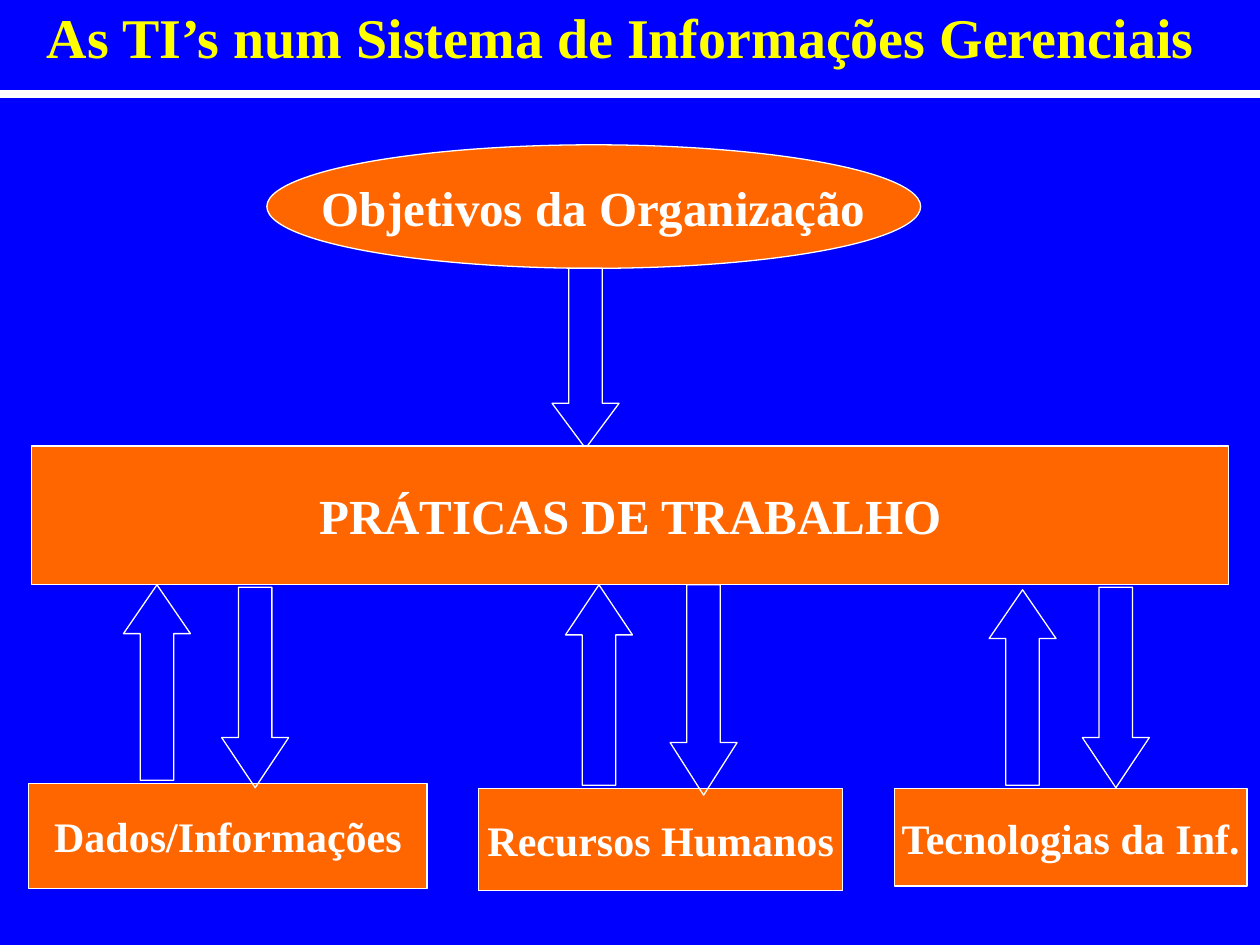
from lxml.etree import SubElement
from pptx import Presentation
from pptx.dml.color import RGBColor
from pptx.enum.shapes import MSO_CONNECTOR, MSO_SHAPE
from pptx.enum.text import MSO_ANCHOR, MSO_AUTO_SIZE, PP_ALIGN
from pptx.oxml.ns import qn
from pptx.util import Cm, Pt


def color(hex_string):
    return RGBColor.from_string(hex_string)


def add_text(shape, text, size, hex_string, alignment):
    frame = shape.text_frame
    frame.vertical_anchor = MSO_ANCHOR.MIDDLE
    paragraph = frame.paragraphs[0]
    paragraph.alignment = alignment
    run = paragraph.add_run()
    run.text = text
    run.font.name = "Times New Roman"
    run.font.size = Pt(size)
    run.font.bold = True
    run.font.color.rgb = color(hex_string)


presentation = Presentation()
presentation.slide_width = Cm(25.4)
presentation.slide_height = Cm(19.05)
slide = presentation.slides.add_slide(presentation.slide_layouts[5])
slide.background.fill.solid()
slide.background.fill.fore_color.rgb = color("0000FF")

title = slide.shapes.title
title.left, title.top, title.width, title.height = Cm(0.69), Cm(-0.08), Cm(23.88), Cm(1.63)
title.text_frame.auto_size = MSO_AUTO_SIZE.NONE
title.text_frame.word_wrap = True
add_text(title, "As TI’s num Sistema de Informações Gerenciais", 32, "FFFF00", PP_ALIGN.LEFT)

rule = slide.shapes.add_connector(MSO_CONNECTOR.STRAIGHT, Cm(0), Cm(1.9), Cm(25.4), Cm(1.9))
rule.line.color.rgb = color("FFFFFF")
rule.line.width = Pt(4.5)
SubElement(rule._element.spPr, qn("a:effectLst"))

OVAL, BOX = MSO_SHAPE.OVAL, MSO_SHAPE.RECTANGLE
UP, DOWN = MSO_SHAPE.UP_ARROW, MSO_SHAPE.DOWN_ARROW
arrow_width = 1.35

diagram = [
    (OVAL, 5.38, 2.92, 13.18, 2.49, "Objetivos da Organização", 28),
    (DOWN, 11.13, 5.41, arrow_width, 3.63, None, None),
    (BOX, 0.64, 8.99, 24.13, 2.79, "PRÁTICAS DE TRABALHO", 28),
    (BOX, 0.58, 15.8, 8.03, 2.11, "Dados/Informações", 24),
    (BOX, 9.65, 15.9, 7.34, 2.06, "Recursos Humanos", 24),
    (BOX, 18.03, 15.9, 7.11, 1.96, "Tecnologias da Inf.", 24),
    (UP, 2.49, 11.79, arrow_width, 3.94, None, None),
    (DOWN, 4.47, 11.84, arrow_width, 4.04, None, None),
    (UP, 11.4, 11.79, arrow_width, 4.04, None, None),
    (DOWN, 13.51, 11.79, arrow_width, 4.24, None, None),
    (UP, 19.94, 11.89, arrow_width, 3.94, None, None),
    (DOWN, 21.82, 11.84, arrow_width, 4.04, None, None),
]

for kind, left, top, width, height, text, size in diagram:
    shape = slide.shapes.add_shape(kind, Cm(left), Cm(top), Cm(width), Cm(height))
    shape.shadow.inherit = False
    shape.line.color.rgb = color("FFFFFF")
    shape.line.width = Pt(0.75)
    if text:
        shape.fill.solid()
        shape.fill.fore_color.rgb = color("FF6600")
        shape.text_frame.word_wrap = False
        add_text(shape, text, size, "FFFFFF", PP_ALIGN.CENTER)
    else:
        shape.fill.background()
        shape.adjustments[0] = 0.5
        shape.adjustments[1] = 0.25 * height / width

presentation.save("out.pptx")
